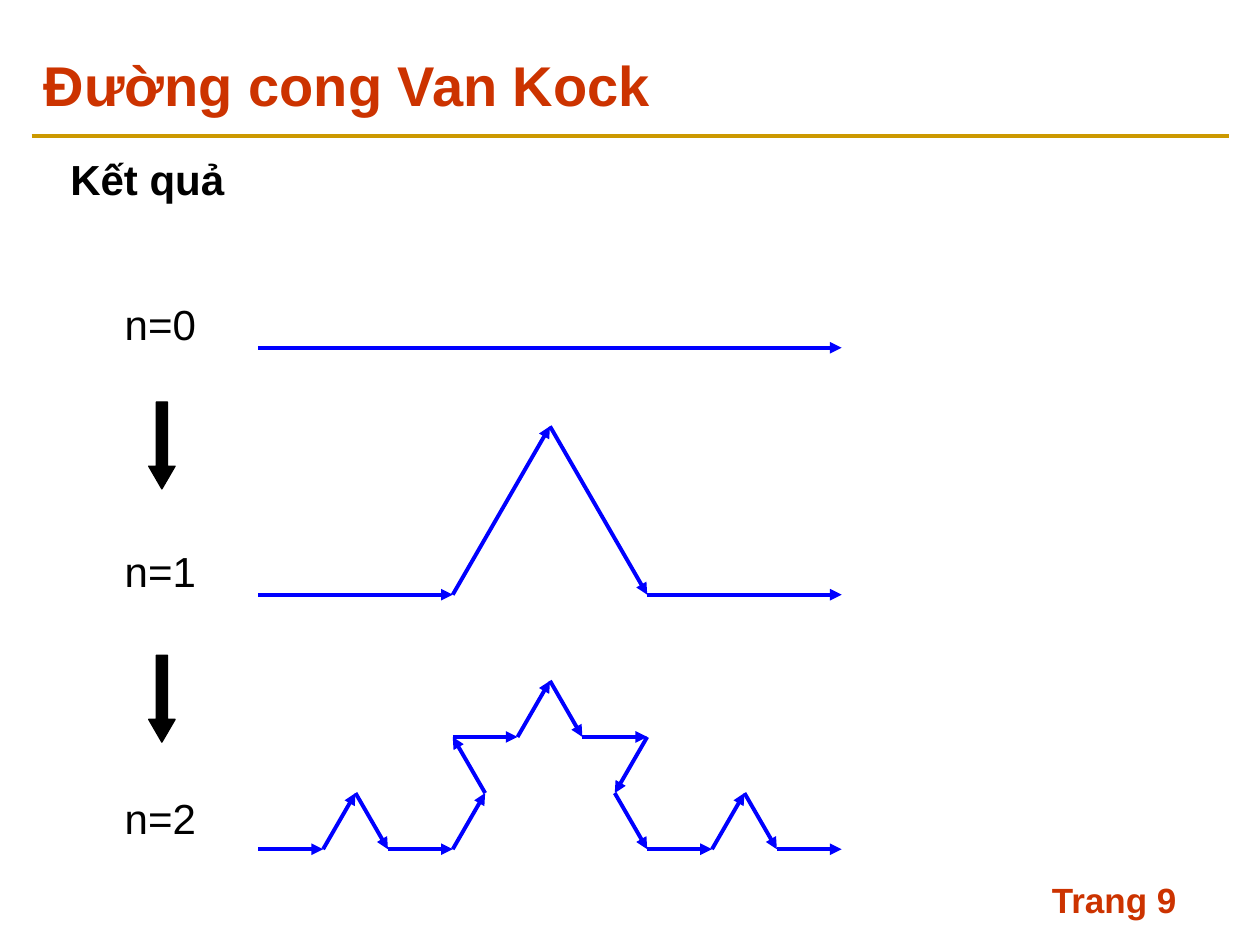
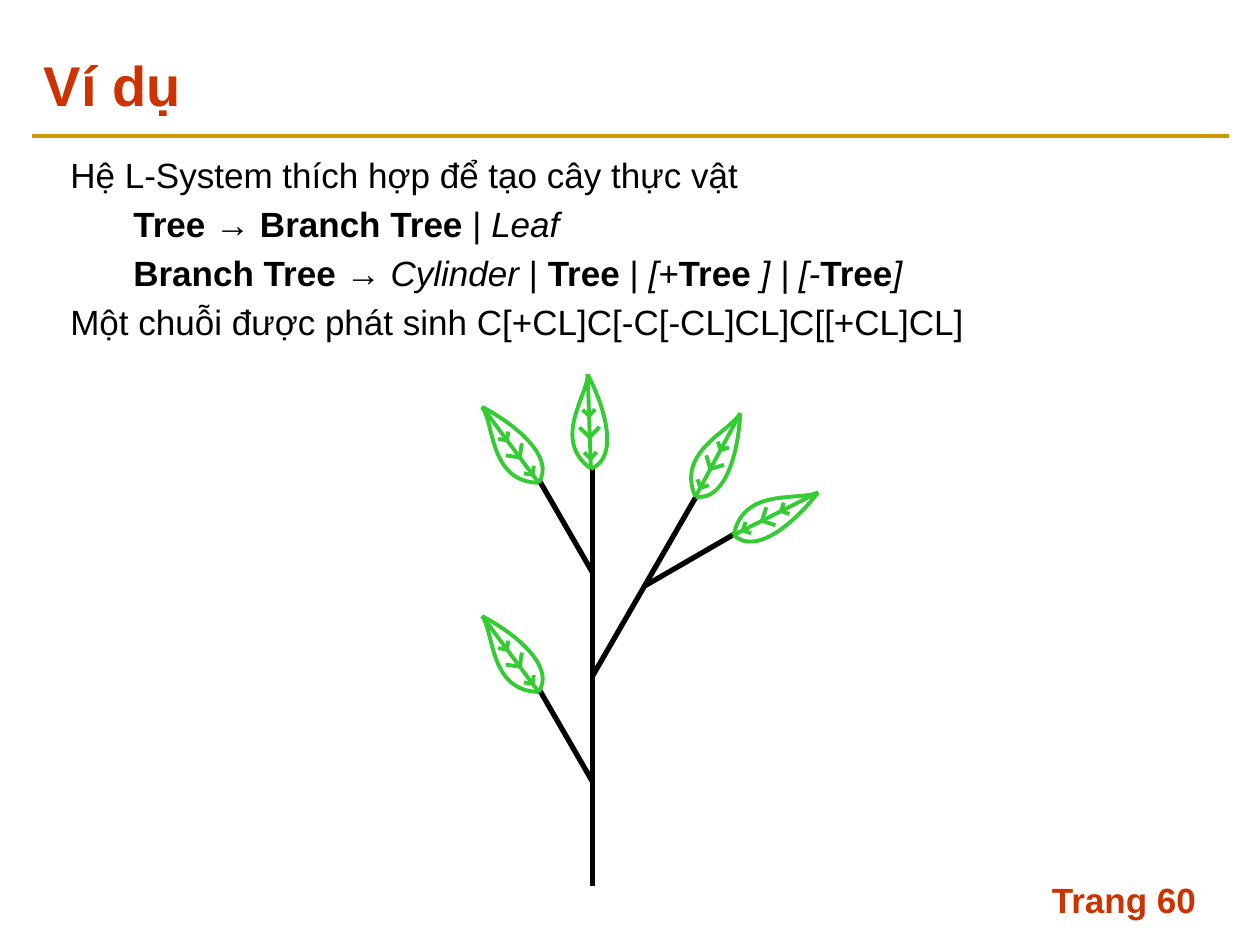
from dataclasses import dataclass
from math import cos, radians, sin, sqrt

from lxml import etree
from pptx import Presentation
from pptx.dml.color import RGBColor
from pptx.enum.shapes import MSO_CONNECTOR, MSO_SHAPE
from pptx.enum.text import MSO_ANCHOR
from pptx.oxml.ns import qn
from pptx.util import Inches, Pt

STRAIGHT = MSO_CONNECTOR.STRAIGHT
DOWN_ARROW = MSO_SHAPE.DOWN_ARROW
TOP = MSO_ANCHOR.TOP
MIDDLE = MSO_ANCHOR.MIDDLE
BLANK_LAYOUT = 6


@dataclass(frozen=True)
class Theme:
    font: str = "Arial"
    accent: RGBColor = RGBColor(0xCC, 0x33, 0x00)
    rule: RGBColor = RGBColor(0xCC, 0x99, 0x00)
    ink: RGBColor = RGBColor(0x00, 0x00, 0x00)
    curve: RGBColor = RGBColor(0x00, 0x00, 0xFF)
    leaf: RGBColor = RGBColor(0x33, 0xCC, 0x33)
    title_size: int = 32
    heading_size: int = 24
    text_size: int = 20
    outline: float = 0.75
    stroke: float = 2.25
    branch: float = 3


THEME = Theme()

BODY_BOX = (0.46, 1.17, 9.1, 5.75)
KOCH_BOX = (0.99, 2.37, 5.69, 4.37)
TREE_BOX = (3.81, 2.97, 2.67, 4.06)

GRAMMAR = [
    (0, [("Hệ L-System thích hợp để tạo cây thực vật", "")]),
    (0.5, [("Tree ", "b"), ("→ ", ""), ("Branch Tree", "b"), (" | ", ""), ("Leaf", "i")]),
    (0.5, [("Branch Tree ", "b"), ("→ ", ""), ("Cylinder", "i"), (" | ", ""),
           ("Tree ", "b"), ("| ", ""), ("[+", "i"), ("Tree ", "b"),
           ("] | [-", "i"), ("Tree", "b"), ("]", "i")]),
    (0, [("Một chuỗi được phát sinh C[+CL]C[-C[-CL]CL]C[[+CL]CL]", "")]),
]
TREE_STRING = "C[+CL]C[-C[-CL]CL]C[[+CL]CL]"
LEAF_ANGLES = {240: 233.3, 270: 268, 300: 298.2, 330: 333.2}
LEAF_LENGTH = 0.75
LEAF_EDGES = [
    [(0, 0), (0.24, -0.31), (0.59, 0), (LEAF_LENGTH, 0)],
    [(0, 0), (0.08, 0.23), (0.48, 0.13), (LEAF_LENGTH, 0)],
]
LEAF_VEINS = [(0.08, 0.05), (0.25, 0.08), (0.42, 0.05)]


def add_text(page, box, paragraphs, size, color=THEME.ink, bold=None,
             anchor=TOP, wrap=True, inset=True):
    frame = page.shapes.add_textbox(*map(Inches, box)).text_frame
    frame.word_wrap = wrap
    frame.vertical_anchor = anchor
    if not inset:
        frame.margin_left = frame.margin_right = 0
        frame.margin_top = frame.margin_bottom = 0
    for index, (indent, spans) in enumerate(paragraphs):
        para = frame.add_paragraph() if index else frame.paragraphs[0]
        if index:
            para.space_before = Pt(size * 0.2)
        if indent:
            para._p.get_or_add_pPr().set("marL", str(Inches(indent)))
        para.font.name = THEME.font
        para.font.size = Pt(size)
        para.font.color.rgb = color
        para.font.bold = bold
        for text, style in spans:
            span = para.add_run()
            span.text = text
            if "b" in style:
                span.font.bold = True
            if "i" in style:
                span.font.italic = True


def add_label(page, box, text, size, **options):
    add_text(page, box, [(0, [(text, "")])], size, **options)


def add_line(shapes, start, end, color, width=THEME.stroke, arrow=False):
    line = shapes.add_connector(STRAIGHT, *map(Inches, (*start, *end)))
    line.line.color.rgb = color
    line.line.width = Pt(width)
    if arrow:
        etree.SubElement(line.line._get_or_add_ln(), qn("a:tailEnd"), type="triangle")
    etree.SubElement(line._element.spPr, qn("a:effectLst"))


def add_page(deck, title, number):
    page = deck.slides.add_slide(deck.slide_layouts[BLANK_LAYOUT])
    add_line(page.shapes, (0.25, 1.08), (9.75, 1.08), THEME.rule)
    add_label(page, (8.25, 6.92, 1.5, 0.5), f"Trang {number}", THEME.text_size,
              color=THEME.accent, bold=True)
    add_label(page, (0.25, 0.33, 9.5, 0.67), title, THEME.title_size,
              color=THEME.accent, bold=True, anchor=MIDDLE)
    return page


def koch_points(start, end, depth):
    if depth == 0:
        return [start, end]
    third = (end - start) / 3
    peak = start + third + third * complex(0.5, -sqrt(3) / 2)
    corners = [start, start + third, peak, end - third, end]
    points = [start]
    for left, right in zip(corners, corners[1:]):
        points += koch_points(left, right, depth - 1)[1:]
    return points


def add_koch_stages(page, box):
    left, top, width, height = box
    curve_left = 1.06
    for depth, baseline in enumerate((0.39, 2.35, height)):
        add_label(page, (left, top + 1.96 * depth, 0.57, 0.4), f"n={depth}",
                  THEME.heading_size, wrap=False, inset=False)
        points = koch_points(complex(left + curve_left, top + baseline),
                             complex(left + width, top + baseline), depth)
        shapes = page.shapes.add_group_shape().shapes if depth else page.shapes
        for start, end in zip(points, points[1:]):
            add_line(shapes, (start.real, start.imag), (end.real, end.imag),
                     THEME.curve, arrow=True)
    for arrow_top in (0.82, 2.83):
        arrow = page.shapes.add_shape(
            DOWN_ARROW, *map(Inches, (left + 0.19, top + arrow_top, 0.21, 0.69)))
        arrow.adjustments[0] = 0.42
        arrow.adjustments[1] = 0.86
        arrow.shadow.inherit = False
        arrow.fill.solid()
        arrow.fill.fore_color.rgb = THEME.ink
        arrow.line.color.rgb = THEME.ink
        arrow.line.width = Pt(THEME.outline)


def add_bezier(shapes, controls, center, angle):
    middle = sum(f(across for _, across in controls) for f in (min, max)) / 2
    points = [(Inches(center[0] + along - LEAF_LENGTH / 2),
               Inches(center[1] + across - middle)) for along, across in controls]
    builder = shapes.build_freeform(*points[0])
    builder.add_line_segments(points[1:], close=False)
    edge = builder.convert_to_shape()
    segments = list(edge._element.iter(qn("a:lnTo")))
    curve = etree.SubElement(segments[0].getparent(), qn("a:cubicBezTo"))
    for segment in segments:
        curve.append(segment[0])
        segment.getparent().remove(segment)
    edge.rotation = angle
    edge.shadow.inherit = False
    edge.fill.background()
    edge.line.color.rgb = THEME.leaf
    edge.line.width = Pt(THEME.stroke)


def add_leaf(page, base, angle):
    shapes = page.shapes.add_group_shape().shapes
    ux, uy = cos(radians(angle)), sin(radians(angle))

    def place(along, across):
        return base[0] + along * ux - across * uy, base[1] + along * uy + across * ux

    for controls in LEAF_EDGES:
        reach = controls[1][1]
        add_bezier(shapes, controls, place(LEAF_LENGTH / 2, reach / 2), angle)
    add_line(shapes, base, place(LEAF_LENGTH, 0), THEME.leaf)
    for side in (-1, 1):
        for along, reach in LEAF_VEINS:
            add_line(shapes, place(along, 0), place(along + reach, side * reach), THEME.leaf)


def add_tree(page, box, step=0.83, turn=30):
    left, top, width, height = box
    position, heading = (left + width / 3, top + height), 270
    saved, leaves = [], []
    for symbol in TREE_STRING:
        if symbol == "C":
            end = (position[0] + step * cos(radians(heading)),
                   position[1] + step * sin(radians(heading)))
            add_line(page.shapes, position, end, THEME.ink, THEME.branch)
            position = end
        elif symbol == "+":
            heading -= turn
        elif symbol == "-":
            heading += turn
        elif symbol == "[":
            saved.append((position, heading))
        elif symbol == "]":
            position, heading = saved.pop()
        else:
            leaves.append((position, LEAF_ANGLES[heading]))
    for (x, y), angle in leaves:
        add_leaf(page, (x - 0.01, y + 0.01), angle)


def build_koch_page(deck):
    page = add_page(deck, "Đường cong Van Kock", 9)
    add_label(page, BODY_BOX, "Kết quả", THEME.heading_size, bold=True)
    add_koch_stages(page, KOCH_BOX)


def build_tree_page(deck):
    page = add_page(deck, "Ví dụ", 60)
    add_text(page, BODY_BOX, GRAMMAR, THEME.text_size)
    add_tree(page, TREE_BOX)


def main():
    deck = Presentation()
    deck.slide_width = Inches(10)
    deck.slide_height = Inches(7.5)
    build_koch_page(deck)
    build_tree_page(deck)
    deck.save("out.pptx")


if __name__ == "__main__":
    main()
